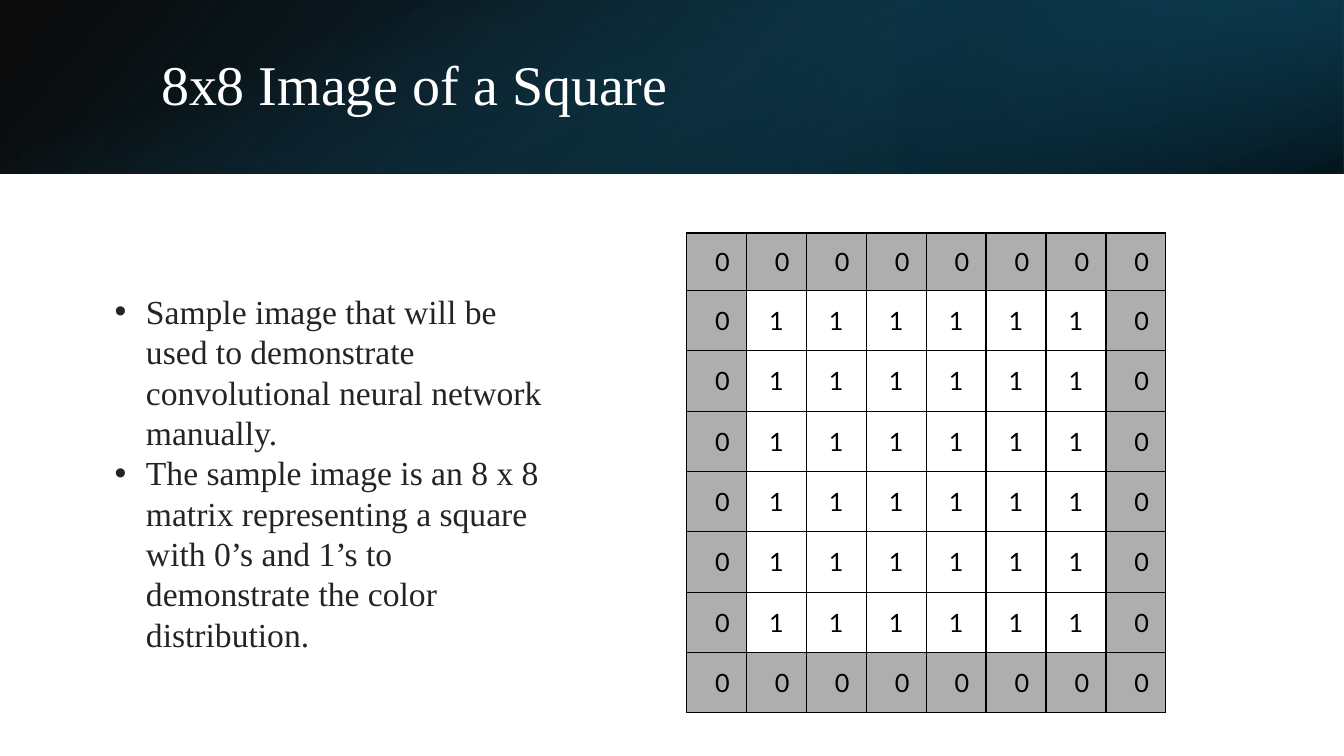
import pptx
import pptx.util
import pptx.dml.color
import pptx.enum.shapes
import pptx.enum.text
import pptx.oxml
import pptx.oxml.ns

Cm, Pt = pptx.util.Cm, pptx.util.Pt
RGB = pptx.dml.color.RGBColor.from_string
NAMESPACE = pptx.oxml.ns.nsdecls("a")

HEADING = "8x8 Image of a Square"
POINTS = [
    "Sample image that will be used to demonstrate convolutional neural network manually.",
    "The sample image is an 8 x 8 matrix representing a square with 0’s and 1’s "
    "to demonstrate the color distribution.",
]
SIDE = 8
PIXELS = [
    [int(0 < row < SIDE - 1 and 0 < column < SIDE - 1) for column in range(SIDE)]
    for row in range(SIDE)
]
THEME = {
    "serif": "Times New Roman", "sans": "Lato",
    "heading_size": 40, "point_size": 24, "pixel_size": 18,
    "heading": "FFFFFF", "point": "242424", "pixel": "000000",
    "border": "000000", "dark_pixel": "AEAEAE",
}
SLIDE_WIDTH, SLIDE_HEIGHT, BANNER_HEIGHT = 33.87, 19.05, 4.37
GLOW_WIDTH = 11.28
BANNER_LAYERS = [
    {"box": (0, 0, SLIDE_WIDTH, BANNER_HEIGHT), "turn": 0, "flip": True, "angle": 140,
     "stops": [(0, "000000", 96), (100, "104862", 100)]},
    {"box": (SLIDE_WIDTH - GLOW_WIDTH, 0, GLOW_WIDTH, BANNER_HEIGHT),
     "turn": 180, "flip": True, "angle": 320,
     "stops": [(19, "0B3041", 68), (100, "156082", 79)]},
    {"box": ((SLIDE_WIDTH - BANNER_HEIGHT) / 2, (BANNER_HEIGHT - SLIDE_WIDTH) / 2,
             BANNER_HEIGHT, SLIDE_WIDTH),
     "turn": 90, "flip": False, "angle": 340,
     "stops": [(23, "156082", 0), (99, "000000", 74)]},
]
HEADING_BOX = (3.81, 0.97, 27.89, 2.44)
POINTS_BOX = (2.64, 7.21, 11.46, 9.5)
POINT_INDENT = 0.79
MATRIX_LEFT, MATRIX_TOP = 17.3, 5.87
PIXEL_WIDTH, FIRST_ROW, OTHER_ROWS = 1.51, 1.45, 1.52
ZERO_INSET = 0.72


def lengths(box):
    return [Cm(value) for value in box]


def style(paragraph, face, size, colour):
    paragraph.font.name = THEME[face]
    paragraph.font.size = Pt(THEME[size])
    paragraph.font.color.rgb = RGB(THEME[colour])


def add_banner_layer(slide, layer):
    band = slide.shapes.add_shape(
        pptx.enum.shapes.MSO_SHAPE.RECTANGLE, *lengths(layer["box"]))
    band.shadow.inherit = False
    band.line.fill.background()
    band.rotation = layer["turn"]
    properties = band.element.spPr
    if layer["flip"]:
        properties.xfrm.set("flipH", "1")
    stops = "".join(
        f'<a:gs pos="{place * 1000}"><a:srgbClr val="{colour}">'
        f'<a:alpha val="{opacity * 1000}"/></a:srgbClr></a:gs>'
        for place, colour, opacity in layer["stops"])
    gradient = pptx.oxml.parse_xml(
        f'<a:gradFill {NAMESPACE} rotWithShape="1"><a:gsLst>{stops}</a:gsLst>'
        f'<a:lin ang="{layer["angle"] * 60000}" scaled="0"/></a:gradFill>')
    properties.find(pptx.oxml.ns.qn("a:prstGeom")).addnext(gradient)


def add_heading(slide):
    frame = slide.shapes.add_textbox(*lengths(HEADING_BOX)).text_frame
    frame.word_wrap = True
    frame.vertical_anchor = pptx.enum.text.MSO_ANCHOR.MIDDLE
    frame.text = HEADING
    frame.paragraphs[0].line_spacing = 0.9
    style(frame.paragraphs[0], "serif", "heading_size", "heading")


def add_points(slide):
    frame = slide.shapes.add_textbox(*lengths(POINTS_BOX)).text_frame
    frame.word_wrap = True
    frame.auto_size = pptx.enum.text.MSO_AUTO_SIZE.SHAPE_TO_FIT_TEXT
    frame.text = "\n".join(POINTS)
    for point in frame.paragraphs:
        style(point, "serif", "point_size", "point")
        properties = point._p.get_or_add_pPr()
        properties.set("marL", str(Cm(POINT_INDENT)))
        properties.set("indent", str(-Cm(POINT_INDENT)))
        bullet = (
            pptx.oxml.parse_xml(f'<a:buFont {NAMESPACE} typeface="Arial"/>'),
            pptx.oxml.parse_xml(f'<a:buChar {NAMESPACE} char="•"/>'))
        for place, part in enumerate(bullet):
            properties.insert(place, part)


def add_borders(cell):
    properties = cell._tc.get_or_add_tcPr()
    for place, edge in enumerate(("lnL", "lnR", "lnT", "lnB")):
        properties.insert(place, pptx.oxml.parse_xml(
            f'<a:{edge} {NAMESPACE} w="{Pt(1)}"><a:solidFill>'
            f'<a:srgbClr val="{THEME["border"]}"/></a:solidFill></a:{edge}>'))


def add_matrix(slide):
    heights = [FIRST_ROW] + [OTHER_ROWS] * (SIDE - 1)
    matrix = slide.shapes.add_table(
        SIDE, SIDE, Cm(MATRIX_LEFT), Cm(MATRIX_TOP),
        Cm(PIXEL_WIDTH * SIDE), Cm(sum(heights))).table
    matrix.first_row = matrix.horz_banding = False
    for column in matrix.columns:
        column.width = Cm(PIXEL_WIDTH)
    for row, height, values in zip(matrix.rows, heights, PIXELS):
        row.height = Cm(height)
        for cell, value in zip(row.cells, values):
            cell.text = str(value)
            cell.vertical_anchor = pptx.enum.text.MSO_ANCHOR.MIDDLE
            digit = cell.text_frame.paragraphs[0]
            style(digit, "sans", "pixel_size", "pixel")
            if value:
                digit.alignment = pptx.enum.text.PP_ALIGN.CENTER
                cell.fill.background()
            else:
                cell.margin_left = Cm(ZERO_INSET)
                cell.fill.solid()
                cell.fill.fore_color.rgb = RGB(THEME["dark_pixel"])
            add_borders(cell)


def main():
    deck = pptx.Presentation()
    deck.slide_width, deck.slide_height = Cm(SLIDE_WIDTH), Cm(SLIDE_HEIGHT)
    slide = deck.slides.add_slide(deck.slide_layouts[6])
    for layer in BANNER_LAYERS:
        add_banner_layer(slide, layer)
    add_heading(slide)
    add_matrix(slide)
    add_points(slide)
    deck.save("out.pptx")


if __name__ == "__main__":
    main()
